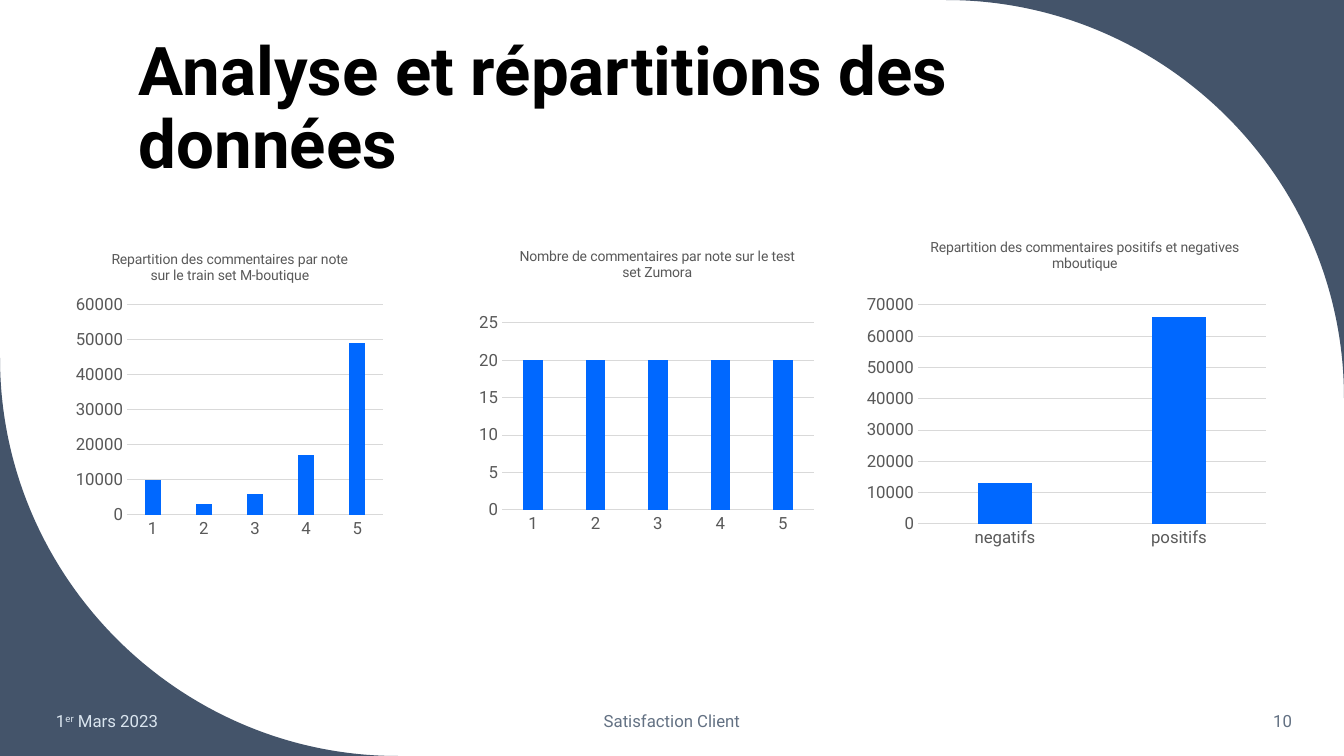
from dataclasses import dataclass

from lxml import etree
from pptx import Presentation
from pptx.chart.data import CategoryChartData
from pptx.dml.color import RGBColor
from pptx.enum.chart import XL_CHART_TYPE, XL_TICK_MARK
from pptx.enum.text import MSO_ANCHOR, PP_ALIGN
from pptx.oxml.ns import qn
from pptx.util import Pt

EMU_PER_PX = 12192000 / 1344
SLIDE_W, SLIDE_H = 1344, 756


@dataclass(frozen=True)
class Theme:
    font: str = "Roboto"
    corner: RGBColor = RGBColor(0x44, 0x54, 0x6A)
    heading: RGBColor = RGBColor(0, 0, 0)
    date: RGBColor = RGBColor(0xDA, 0xE5, 0xEF)
    footer: RGBColor = RGBColor(0x63, 0x71, 0x83)
    chart_text: RGBColor = RGBColor(0x59, 0x59, 0x59)
    grid: RGBColor = RGBColor(0xD9, 0xD9, 0xD9)
    bar: RGBColor = RGBColor(0x00, 0x68, 0xFF)
    heading_size: int = 48
    body_size: int = 12
    chart_title_size: int = 10


THEME = Theme()


@dataclass(frozen=True)
class Box:
    left: int
    top: int
    width: int
    height: int

    def emu(self) -> tuple[int, ...]:
        return tuple(px(v) for v in (self.left, self.top, self.width, self.height))


@dataclass(frozen=True)
class Corner:
    tip: tuple[int, int]
    arc_start: tuple[int, int]
    arc_end: tuple[int, int]


@dataclass(frozen=True)
class Label:
    box: Box
    runs: tuple[str, ...]
    color: RGBColor
    align: PP_ALIGN = PP_ALIGN.LEFT
    anchor: MSO_ANCHOR = MSO_ANCHOR.MIDDLE
    size: int = THEME.body_size
    bold: bool = False
    line_spacing: float = 1.0


@dataclass(frozen=True)
class BarChart:
    box: Box
    plot: Box
    title: str
    title_at: tuple[int, int]
    values: dict[str, int]
    top_value: int
    step: int


RADIUS = 398
ARC_PULL = 0.55

CORNERS = (
    Corner((SLIDE_W, 0), (SLIDE_W - RADIUS, 0), (SLIDE_W, RADIUS)),
    Corner((0, SLIDE_H), (RADIUS, SLIDE_H), (0, SLIDE_H - RADIUS)),
)

LABELS = (
    Label(Box(129, 42, 1078, 146), ("Analyse et répartitions des données",), THEME.heading,
          anchor=MSO_ANCHOR.BOTTOM, size=THEME.heading_size, bold=True, line_spacing=0.9),
    Label(Box(46, 701, 184, 40), ("1", "er", " Mars 2023"), THEME.date),
    Label(Box(445, 701, 454, 40), ("Satisfaction Client",), THEME.footer, PP_ALIGN.CENTER),
    Label(Box(1119, 701, 183, 40), ("10",), THEME.footer, PP_ALIGN.RIGHT),
)

CHARTS = (
    BarChart(Box(69, 235, 320, 309), Box(127, 305, 256, 210),
             "Repartition des commentaires par note sur le train set M-boutique", (109, 248),
             {"1": 10000, "2": 3000, "3": 6000, "4": 17000, "5": 49000}, 60000, 10000),
    BarChart(Box(463, 244, 374, 326), Box(502, 323, 312, 187),
             "Nombre de commentaires par note sur le test set Zumora", (517, 245),
             {str(note): 20 for note in range(1, 6)}, 25, 5),
    BarChart(Box(859, 235, 415, 319), Box(918, 305, 348, 219),
             "Repartition des commentaires positifs et negatives mboutique", (928, 236),
             {"negatifs": 13000, "positifs": 66000}, 70000, 10000),
)


def px(value: float) -> int:
    return round(value * EMU_PER_PX)


def style_font(font, size: int, color: RGBColor, bold: bool = False) -> None:
    font.name, font.size, font.bold = THEME.font, Pt(size), bold
    font.color.rgb = color


def bend_last_edge(shape) -> None:
    path = shape._element.find(f".//{qn('a:path')}")
    tip, start, end = [(int(pt.get("x")), int(pt.get("y")))
                       for pt in path.iter(qn("a:pt"))][:3]
    curve = etree.Element(qn("a:cubicBezTo"))
    controls = [tuple(round(p + ARC_PULL * (t - p)) for p, t in zip(point, tip))
                for point in (start, end)]
    for x, y in (*controls, end):
        etree.SubElement(curve, qn("a:pt"), x=str(x), y=str(y))
    path.replace(path.findall(qn("a:lnTo"))[1], curve)
    for extra in path.findall(qn("a:lnTo"))[1:]:
        path.remove(extra)


def draw_corner(slide, corner: Corner) -> None:
    tip, start, end = [(px(x), px(y)) for x, y in (corner.tip, corner.arc_start, corner.arc_end)]
    builder = slide.shapes.build_freeform(*tip)
    builder.add_line_segments([start, end], close=True)
    shape = builder.convert_to_shape()
    bend_last_edge(shape)
    shape.shadow.inherit = False
    shape.fill.solid()
    shape.fill.fore_color.rgb = THEME.corner
    shape.line.fill.background()


def draw_label(slide, label: Label) -> None:
    frame = slide.shapes.add_textbox(*label.box.emu()).text_frame
    frame.word_wrap = True
    frame.vertical_anchor = label.anchor
    paragraph = frame.paragraphs[0]
    paragraph.alignment = label.align
    paragraph.line_spacing = label.line_spacing
    for text in label.runs:
        run = paragraph.add_run()
        run.text = text
        style_font(run.font, label.size, label.color, label.bold)
        if text == "er":
            run._r.get_or_add_rPr().set("baseline", "30000")


def place(parent, index: int, settings: dict[str, str | float]) -> None:
    for old in parent.findall(qn("c:layout")):
        parent.remove(old)
    layout = etree.Element(qn("c:layout"))
    manual = etree.SubElement(layout, qn("c:manualLayout"))
    for name, value in settings.items():
        etree.SubElement(manual, qn(f"c:{name}")).set("val", str(value))
    parent.insert(index, layout)


def draw_chart(slide, spec: BarChart) -> None:
    data = CategoryChartData()
    data.categories = list(spec.values)
    data.add_series("Series 1", list(spec.values.values()))
    chart = slide.shapes.add_chart(XL_CHART_TYPE.COLUMN_CLUSTERED, *spec.box.emu(), data).chart
    chart.has_legend = False
    style_font(chart.font, THEME.chart_title_size, THEME.heading)
    chart.has_title = True
    paragraph = chart.chart_title.text_frame.paragraphs[0]
    paragraph.alignment = PP_ALIGN.CENTER
    run = paragraph.add_run()
    run.text = spec.title
    style_font(run.font, THEME.chart_title_size, THEME.chart_text)

    box, plot = spec.box, spec.plot
    modes = {"xMode": "edge", "yMode": "edge"}
    place(chart.chart_title._element, 1, modes | {
        "x": (spec.title_at[0] - box.left) / box.width,
        "y": (spec.title_at[1] - box.top) / box.height})
    place(chart._chartSpace.find(f".//{qn('c:plotArea')}"), 0, {"layoutTarget": "inner"} | modes | {
        "x": (plot.left - box.left) / box.width,
        "y": (plot.top - box.top) / box.height,
        "w": plot.width / box.width,
        "h": plot.height / box.height})

    bars = chart.plots[0]
    bars.gap_width, bars.overlap, bars.vary_by_categories = 219, -27, False
    bars.series[0].format.fill.solid()
    bars.series[0].format.fill.fore_color.rgb = THEME.bar
    category, value = chart.category_axis, chart.value_axis
    for axis in (category, value):
        axis.major_tick_mark = axis.minor_tick_mark = XL_TICK_MARK.NONE
        style_font(axis.tick_labels.font, THEME.body_size, THEME.chart_text)
    value.minimum_scale, value.maximum_scale, value.major_unit = 0, spec.top_value, spec.step
    value.has_major_gridlines = True
    value.format.line.fill.background()
    for line in (category.format.line, value.major_gridlines.format.line):
        line.color.rgb = THEME.grid
        line.width = Pt(0.75)


def main() -> None:
    deck = Presentation()
    deck.slide_width, deck.slide_height = px(SLIDE_W), px(SLIDE_H)
    slide = deck.slides.add_slide(deck.slide_layouts[6])
    for corner in CORNERS:
        draw_corner(slide, corner)
    for label in LABELS:
        draw_label(slide, label)
    for chart in CHARTS:
        draw_chart(slide, chart)
    deck.save("out.pptx")


main()
